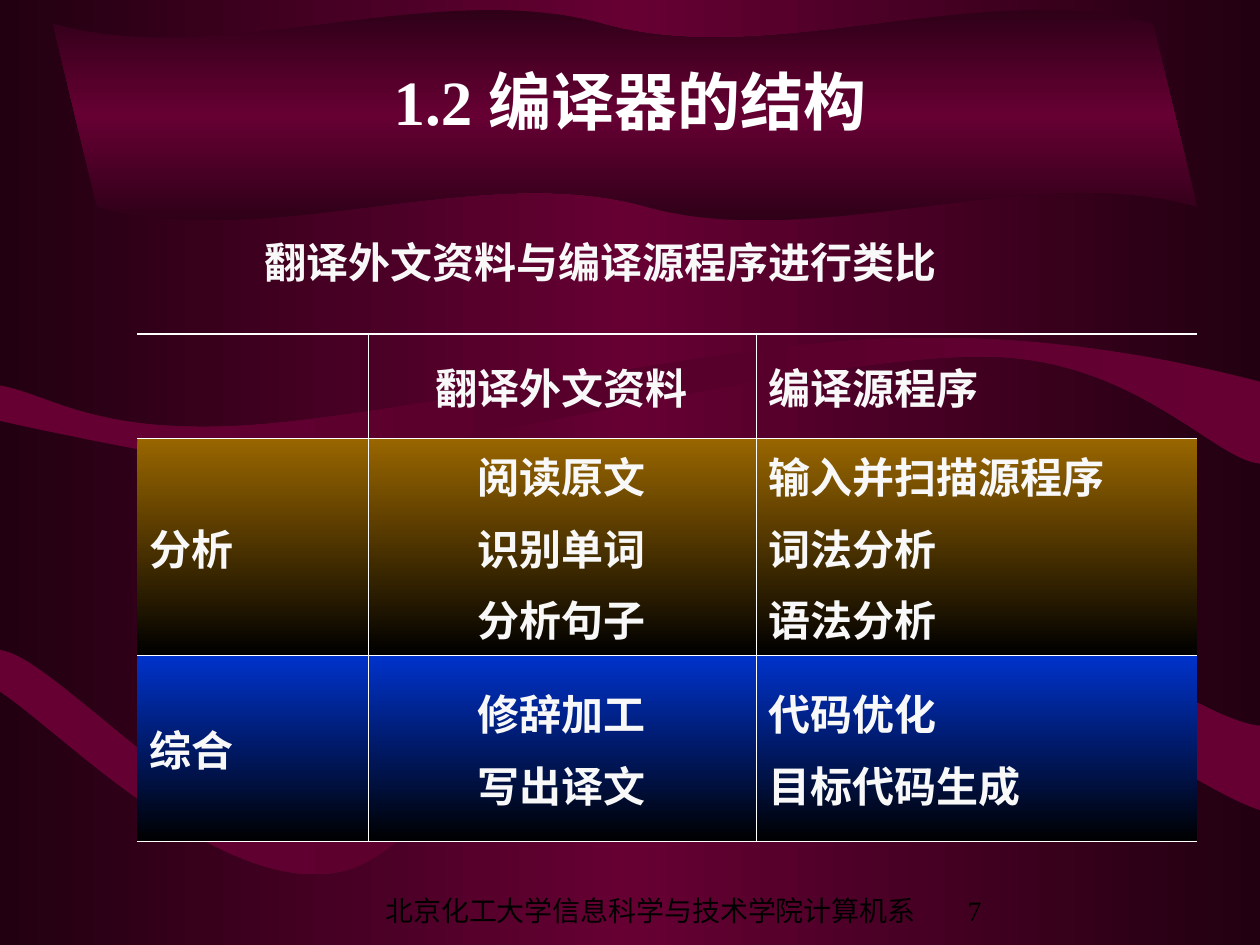
from lxml import etree
from pptx import Presentation
from pptx.dml.color import RGBColor
from pptx.enum.text import MSO_ANCHOR, PP_ALIGN
from pptx.oxml.ns import qn
from pptx.util import Inches, Pt

LEFT, CENTER = PP_ALIGN.LEFT, PP_ALIGN.CENTER
TOP, MIDDLE, BOTTOM = MSO_ANCHOR.TOP, MSO_ANCHOR.MIDDLE, MSO_ANCHOR.BOTTOM

FONT = "Times New Roman"
WHITE, OFF_WHITE, BLACK = "FFFFFF", "F8F8F8", "000000"
DARK_WINE, WINE, DEEP_WINE, BANNER_EDGE = "220011", "660033", "56002B", "2F0018"
BROWN, BLUE = "996600", "0033CC"
THICK, THIN = 1.08, 0.45

# Outlines in inches: a start point, then lines (x, y) or Bezier curves (6 values).
UPPER_RIBBON = [
    (0, 3.06), (0, 3.34),
    (0.37, 3.43, 1.75, 3.7, 2.22, 3.75), (2.69, 3.8, 1.9, 3.79, 2.82, 3.64),
    (3.75, 3.48, 6.6, 2.82, 7.8, 2.83), (9, 2.83, 9.63, 3.65, 10, 3.68),
    (10, 3.03),
    (9.5, 2.9, 8.36, 2.63, 7.01, 2.69), (5.66, 2.74, 3.07, 3.32, 1.9, 3.38),
    (0.73, 3.44, 0.4, 3.13, 0, 3.06),
]
LOWER_RIBBON = [
    (0, 5.16), (0, 5.49),
    (0.45, 5.78, 1.74, 7.11, 2.69, 6.92), (3.63, 6.74, 4.43, 4.46, 5.65, 4.38),
    (6.87, 4.29, 9.27, 6.2, 10, 6.43),
    (10, 5.76),
    (9.38, 5.72, 6.91, 3.77, 5.62, 3.91), (4.41, 4.06, 3.67, 6.46, 2.73, 6.67),
    (1.79, 6.87, 0.45, 5.2, 0, 5.16),
]
BANNER = [
    (9.15, 0.19),
    (7.81, -0.19, 6.12, 0.57, 4.78, 0.19), (3.44, -0.19, 1.76, 0.57, 0.42, 0.19),
    (0.77, 1.64),
    (2.11, 2.02, 3.8, 1.26, 5.13, 1.64), (6.47, 2.02, 8.16, 1.26, 9.5, 1.64),
]

COLUMN_WIDTHS = [1.83, 3.08, 3.5]
ROW_HEIGHTS = [0.83, 1.72, 1.48]
ROW_COLORS = [None, BROWN, BLUE]
ROWS = [
    [[], ["翻译外文资料"], ["编译源程序"]],
    [["分析"], ["阅读原文", "识别单词", "分析句子"],
     ["输入并扫描源程序", "词法分析", "语法分析"]],
    [["综合"], ["修辞加工", "写出译文"], ["代码优化", "目标代码生成"]],
]


def rgb(color):
    return RGBColor.from_string(color)


def set_gradient(fill, element, colors, angle):
    """Spread the colours evenly; the angle runs clockwise from left to right."""
    fill.gradient()
    gradient = element.find(".//" + qn("a:gradFill"))
    stops = gradient.find(qn("a:gsLst"))
    for stop in list(stops):
        stops.remove(stop)
    for index, color in enumerate(colors):
        position = 100000 * index // (len(colors) - 1)
        stop = etree.SubElement(stops, qn("a:gs"), pos=str(position))
        etree.SubElement(stop, qn("a:srgbClr"), val=color)
    gradient.find(qn("a:lin")).set("ang", str(angle * 60000))


def draw_curves(shape, outline):
    """Replace the straight path of a freeform by the outline with its curves."""
    path = shape._element.find(".//" + qn("a:path"))
    path.set("w", str(shape.width))
    path.set("h", str(shape.height))
    for step in list(path):
        path.remove(step)
    for index, segment in enumerate(outline):
        tag = "a:cubicBezTo" if len(segment) == 6 else "a:lnTo" if index else "a:moveTo"
        step = etree.SubElement(path, qn(tag))
        for x, y in zip(segment[::2], segment[1::2]):
            etree.SubElement(step, qn("a:pt"), x=str(Inches(x) - shape.left),
                             y=str(Inches(y) - shape.top))
    etree.SubElement(path, qn("a:close"))


def add_ribbon(slide, outline, top, height, colors, angle):
    corners = [(Inches(segment[-2]), Inches(segment[-1])) for segment in outline]
    builder = slide.shapes.build_freeform(*corners[0])
    builder.add_line_segments(corners[1:], close=True)
    shape = builder.convert_to_shape()
    shape.top, shape.height = Inches(top), Inches(height)
    draw_curves(shape, outline)
    shape.shadow.inherit = False
    set_gradient(shape.fill, shape._element, colors, angle)
    shape.line.fill.background()


def write_lines(text_frame, lines, size=24, color=OFF_WHITE, bold=True,
                align=LEFT, space_before=0):
    for index, line in enumerate(lines):
        paragraph = text_frame.add_paragraph() if index else text_frame.paragraphs[0]
        paragraph.alignment = align
        if index:
            paragraph.space_before = Pt(space_before)
        run = paragraph.add_run()
        run.text = line
        run.font.name = FONT
        run.font.size = Pt(size)
        run.font.bold = bold
        run.font.color.rgb = rgb(color)


def add_text(slide, text, left, top, width, height, anchor=TOP, **text_format):
    box = slide.shapes.add_textbox(
        Inches(left), Inches(top), Inches(width), Inches(height))
    box.text_frame.word_wrap = True
    box.text_frame.vertical_anchor = anchor
    write_lines(box.text_frame, [text], **text_format)


def set_borders(cell, left, right, top, bottom):
    """Set line widths in points; zero means no line."""
    properties = cell._tc.get_or_add_tcPr()
    sides = {"a:lnL": left, "a:lnR": right, "a:lnT": top, "a:lnB": bottom}
    for index, (tag, width) in enumerate(sides.items()):
        line = etree.Element(qn(tag), w=str(Pt(width)))
        if width:
            solid = etree.SubElement(line, qn("a:solidFill"))
            etree.SubElement(solid, qn("a:srgbClr"), val=WHITE)
        else:
            etree.SubElement(line, qn("a:noFill"))
        properties.insert(index, line)


def add_comparison_table(slide):
    last_row, last_column = len(ROWS) - 1, len(COLUMN_WIDTHS) - 1
    table = slide.shapes.add_table(
        len(ROWS), len(COLUMN_WIDTHS), Inches(1.09), Inches(2.65),
        Inches(sum(COLUMN_WIDTHS)), Inches(sum(ROW_HEIGHTS))).table
    table.first_row = table.horz_banding = False
    for column, width in zip(table.columns, COLUMN_WIDTHS):
        column.width = Inches(width)
    for r, (row, height, color) in enumerate(zip(ROWS, ROW_HEIGHTS, ROW_COLORS)):
        table.rows[r].height = Inches(height)
        for c, lines in enumerate(row):
            cell = table.cell(r, c)
            cell.vertical_anchor = MIDDLE
            write_lines(cell.text_frame, lines, space_before=6,
                        align=CENTER if c == 1 else LEFT)
            if color:
                set_gradient(cell.fill, cell._tc, [color, BLACK], 90)
            else:
                cell.fill.background()
            set_borders(cell,
                        left=THIN if c else 0,
                        right=THIN if c < last_column else 0,
                        top=THIN if r else THICK,
                        bottom=THIN if r < last_row else THICK)


def main():
    presentation = Presentation()
    presentation.slide_width, presentation.slide_height = Inches(10), Inches(7.5)
    slide = presentation.slides.add_slide(presentation.slide_layouts[6])
    set_gradient(slide.background.fill, slide._element,
                 [DARK_WINE, WINE, DARK_WINE], 0)

    add_ribbon(slide, UPPER_RIBBON, 2.63, 1.17, [WINE, DEEP_WINE, WINE], 0)
    add_ribbon(slide, LOWER_RIBBON, 3.77, 3.34, [WINE, DEEP_WINE, WINE], 0)
    footer = {"size": 16, "color": BLACK, "bold": False,
              "align": CENTER, "anchor": BOTTOM}
    add_text(slide, "北京化工大学信息科学与技术学院计算机系", 2.83, 7.08, 4.67, 0.33, **footer)
    add_text(slide, "7", 7.5, 7.08, 0.47, 0.33, **footer)

    add_ribbon(slide, BANNER, 0.08, 1.67, [BANNER_EDGE, WINE, BANNER_EDGE], 90)
    add_comparison_table(slide)
    add_text(slide, "1.2 编译器的结构", 0.75, 0.17, 8.5, 1.25,
             size=36, color=WHITE, align=CENTER, anchor=MIDDLE)
    add_text(slide, "翻译外文资料与编译源程序进行类比", 2, 1.83, 6.5, 0.5)
    presentation.save("out.pptx")


if __name__ == "__main__":
    main()
